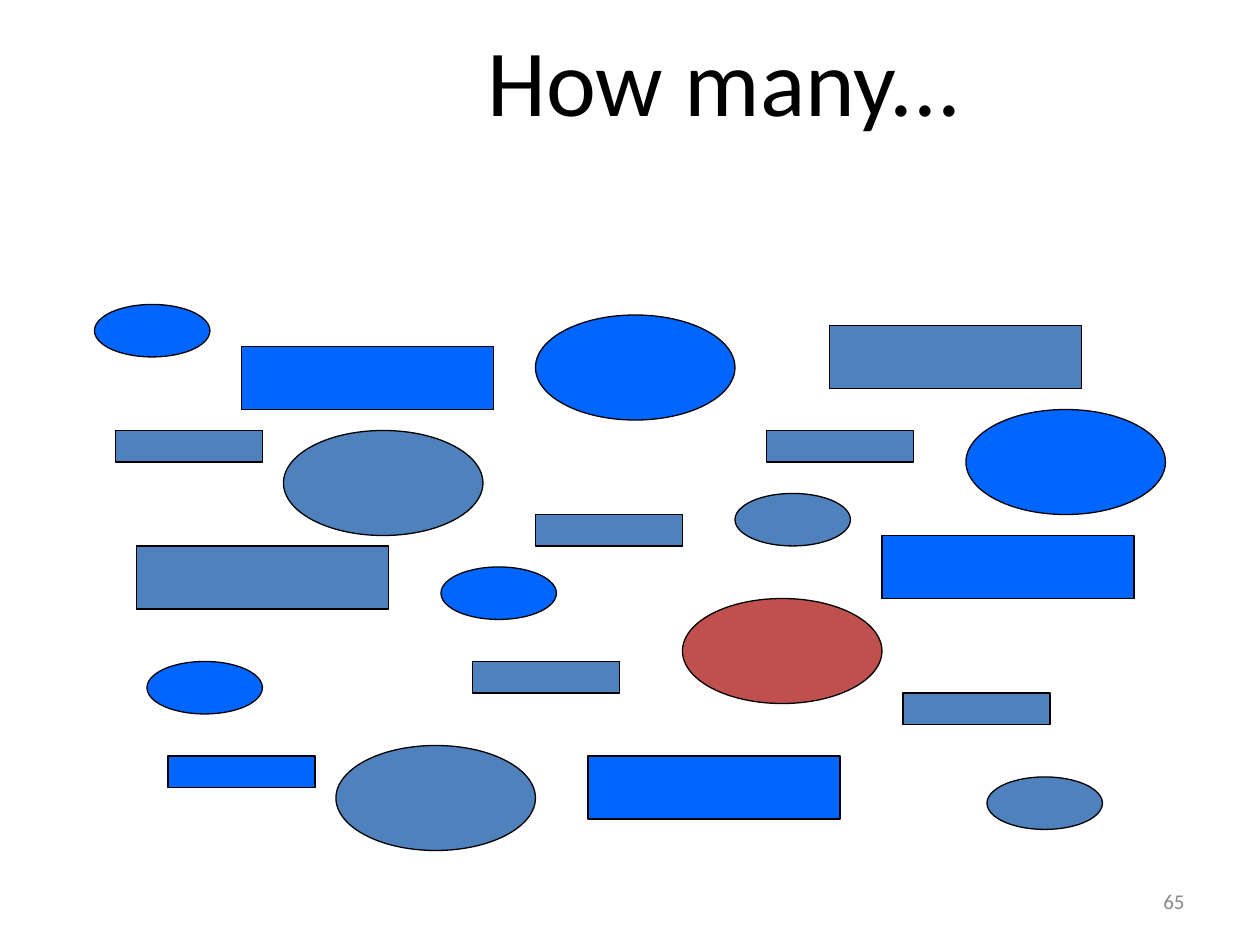
from dataclasses import dataclass
from pptx import Presentation
from pptx.dml.color import RGBColor
from pptx.enum.shapes import MSO_SHAPE
from pptx.enum.text import MSO_ANCHOR, PP_ALIGN
from pptx.util import Inches, Pt


@dataclass(frozen=True)
class Theme:
    font: str = "Calibri"
    ink: str = "000000"
    grey: str = "898989"
    blue: str = "0066FF"
    steel: str = "4F81BD"
    red: str = "C0504D"
    head: int = 54
    foot: int = 12
    line: float = 0.75


THEME = Theme()
RECT, OVAL = MSO_SHAPE.RECTANGLE, MSO_SHAPE.OVAL

# Each group: form, columns wide, rows high, then (column, row) spots by colour
GROUPS = [
    (RECT, 24, 6, {THEME.blue: [(23, 33), (56, 72), (84, 51)],
                   THEME.steel: [(13, 52), (79, 31)]}),
    (RECT, 14, 3, {THEME.steel: [(11, 41), (51, 49), (86, 66), (45, 63), (73, 41)],
                   THEME.blue: [(16, 72)]}),
    (OVAL, 19, 10, {THEME.blue: [(51, 30), (92, 39)],
                    THEME.steel: [(27, 41), (32, 71)],
                    THEME.red: [(65, 57)]}),
    (OVAL, 11, 5, {THEME.blue: [(9, 29), (42, 54), (14, 63)],
                   THEME.steel: [(94, 74), (70, 47)]}),
]


def grid(*cells):
    """Turn columns and rows, twelve to the inch, into lengths."""
    return [Inches(cell / 12) for cell in cells]


def place(shape, *cells):
    for name, size in zip(("left", "top", "width", "height"), grid(*cells)):
        setattr(shape, name, size)


def write(shape, text, align, size, color):
    frame = shape.text_frame
    frame.word_wrap = True
    frame.vertical_anchor = MSO_ANCHOR.MIDDLE
    para = frame.paragraphs[0]
    para.alignment = align
    run = para.add_run()
    run.text = text
    style = {"name": THEME.font, "size": Pt(size)}
    for key, value in style.items():
        setattr(run.font, key, value)
    run.font.color.rgb = RGBColor.from_string(color)


def draw(slide, form, color, *cells):
    shape = slide.shapes.add_shape(form, *grid(*cells))
    shape.shadow.inherit = False
    shape.fill.solid()
    shape.fill.fore_color.rgb = RGBColor.from_string(color)
    shape.line.color.rgb = RGBColor.from_string(THEME.ink)
    shape.line.width = Pt(THEME.line)


def main():
    deck = Presentation()
    deck.slide_width, deck.slide_height = grid(120, 90)
    slide = deck.slides.add_slide(deck.slide_layouts[5])

    # Title
    title = slide.shapes.title
    place(title, 18, 2, 102, 11)
    write(title, "How many...", PP_ALIGN.CENTER, THEME.head, THEME.ink)

    # Page number
    page = slide.shapes.add_textbox(*grid(86, 83.4, 28, 4.8))
    write(page, "65", PP_ALIGN.RIGHT, THEME.foot, THEME.grey)

    # Scattered shapes to count
    for form, wide, high, spots in GROUPS:
        for color, cells in spots.items():
            for col, row in cells:
                draw(slide, form, color, col, row, wide, high)

    deck.save("out.pptx")


if __name__ == "__main__":
    main()
